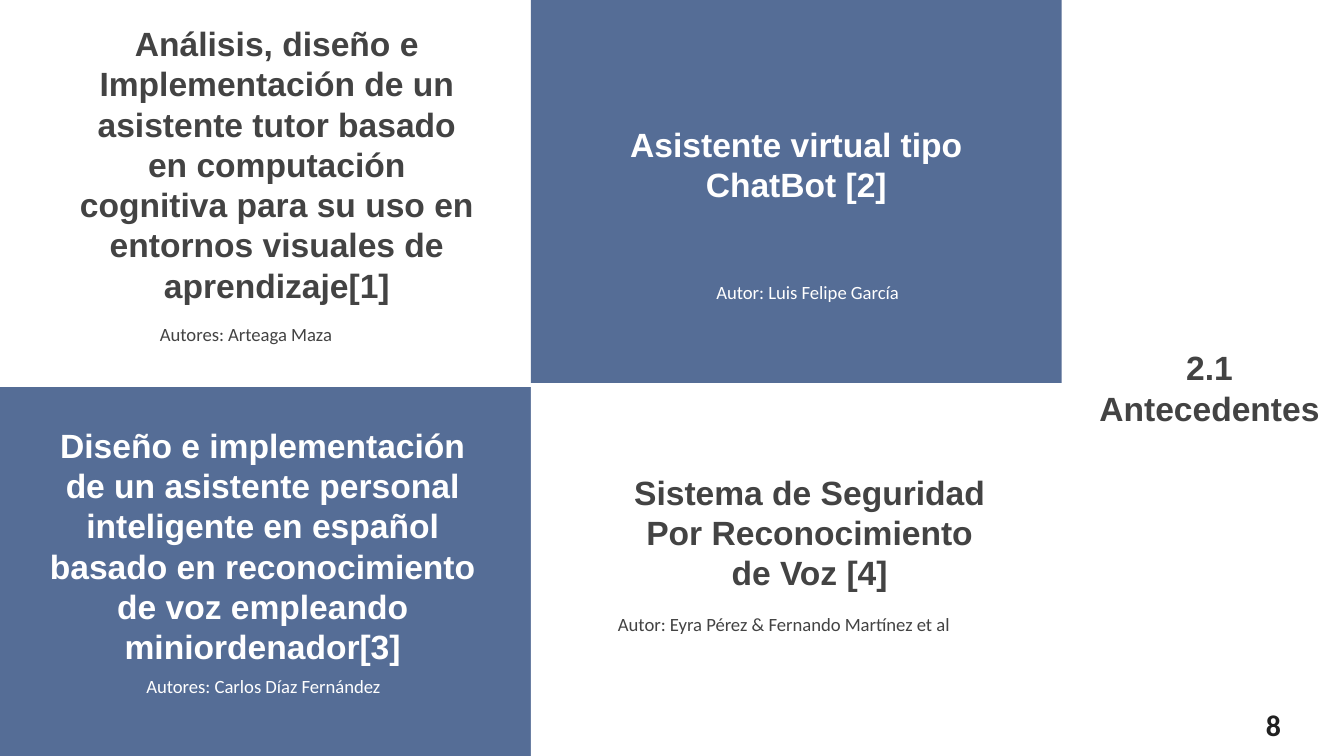
from dataclasses import dataclass

import pptx
import pptx.dml.color
import pptx.enum.shapes
import pptx.enum.text
import pptx.util

Inches = pptx.util.Inches
Align = pptx.enum.text.PP_ALIGN
Anchor = pptx.enum.text.MSO_ANCHOR
RGBColor = pptx.dml.color.RGBColor

BLUE = RGBColor(0x55, 0x6D, 0x96)
WHITE = RGBColor(0xFF, 0xFF, 0xFF)
GRAY = RGBColor(0x43, 0x43, 0x43)
BLACK = RGBColor(0x21, 0x21, 0x21)

SLIDE_W = Inches(10)
SLIDE_H = SLIDE_W * 9 // 16
PANEL_W = 3.95
ROW_Y = 2.88
MARGIN = 0.1


@dataclass(frozen=True)
class Box:
    left: float
    top: float
    width: float
    height: float

    def lengths(self) -> tuple:
        return tuple(Inches(v) for v in (self.left, self.top, self.width, self.height))


@dataclass(frozen=True)
class Panel:
    box: Box
    fill: RGBColor


@dataclass(frozen=True)
class Style:
    font: str
    size: int
    bold: bool
    anchor: Anchor
    spacing: float = 1.0


@dataclass(frozen=True)
class Label:
    text: str
    box: Box
    color: RGBColor
    style: Style
    align: Align = Align.CENTER


HEADING = Style("Arial", 18, True, Anchor.MIDDLE)
TITLE = Style("Arial", 18, True, Anchor.BOTTOM)
AUTHOR = Style("Calibri", 10, False, Anchor.TOP, 1.15)
NUMBER = Style("Calibri", 16, True, Anchor.TOP)

PANELS = [
    Panel(Box(PANEL_W, -0.03, PANEL_W, 2.88), BLUE),
    Panel(Box(0, ROW_Y, PANEL_W, 2.75), BLUE),
    Panel(Box(PANEL_W, ROW_Y, PANEL_W, 2.75), WHITE),
]

LABELS = [
    Label("2.1 Antecedentes", Box(8, 2.55, 2, 0.67), GRAY, HEADING),
    Label("Autores: Arteaga Maza ", Box(0.49, 2.28, 2.71, 0.59), GRAY, AUTHOR),
    Label("Autor: Luis Felipe García ", Box(4.61, 1.97, 2.83, 0.82), WHITE, AUTHOR),
    Label("Autores: Carlos Díaz Fernández ", Box(0.62, 4.9, 2.71, 0.53), WHITE, AUTHOR),
    Label("Asistente virtual tipo ChatBot [2]", Box(4.45, 0.91, 2.95, 0.71), WHITE, TITLE),
    Label("Diseño e implementación de un asistente personal inteligente en español "
          "basado en reconocimiento de voz empleando miniordenador[3]",
          Box(0.21, 4.35, 3.49, 0.71), WHITE, TITLE),
    Label("Análisis, diseño e Implementación de un asistente tutor basado en "
          "computación cognitiva para su uso en entornos visuales de aprendizaje[1]",
          Box(0.49, 1.66, 3.14, 0.71), GRAY, TITLE),
    Label("Sistema de Seguridad Por Reconocimiento de Voz [4]",
          Box(4.61, 3.8, 2.83, 0.71), GRAY, TITLE),
    Label("Autor: Eyra Pérez & Fernando Martínez et al",
          Box(4.5, 4.44, 2.83, 0.82), GRAY, AUTHOR, Align.LEFT),
    Label("8", Box(9.32, 5.16, 0.68, 0.31), BLACK, NUMBER, Align.JUSTIFY),
]


def draw_panel(s: pptx.slide.Slide, panel: Panel) -> None:
    sp = s.shapes.add_shape(pptx.enum.shapes.MSO_SHAPE.RECTANGLE, *panel.box.lengths())
    sp.shadow.inherit = False
    sp.fill.solid()
    sp.fill.fore_color.rgb = panel.fill
    sp.line.fill.background()


def draw_label(s: pptx.slide.Slide, label: Label) -> None:
    tf = s.shapes.add_textbox(*label.box.lengths()).text_frame
    tf.word_wrap = True
    tf.vertical_anchor = label.style.anchor
    tf.margin_left = tf.margin_right = Inches(MARGIN)
    tf.margin_top = tf.margin_bottom = Inches(MARGIN)
    tf.text = label.text
    p = tf.paragraphs[0]
    p.alignment = label.align
    p.line_spacing = label.style.spacing
    for r in p.runs:
        r.font.name = label.style.font
        r.font.size = pptx.util.Pt(label.style.size)
        r.font.bold = label.style.bold
        r.font.color.rgb = label.color


def main() -> None:
    """Build the slide of related work in four panels."""
    prs = pptx.Presentation()
    prs.slide_width, prs.slide_height = SLIDE_W, SLIDE_H
    s = prs.slides.add_slide(prs.slide_layouts[6])
    for panel in PANELS:
        draw_panel(s, panel)
    for label in LABELS:
        draw_label(s, label)
    prs.save("out.pptx")


if __name__ == "__main__":
    main()
